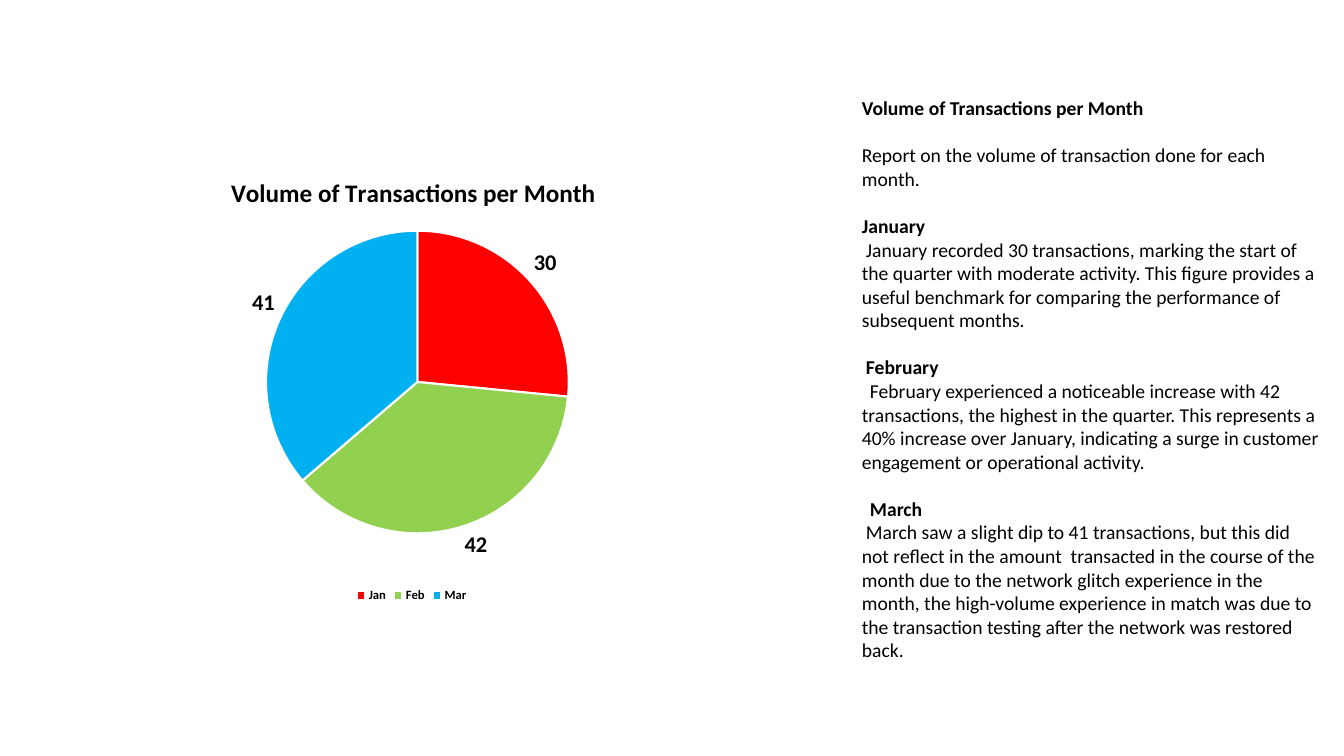
from dataclasses import dataclass

import pptx
import pptx.chart.data
import pptx.dml.color
import pptx.enum.chart
import pptx.enum.text
import pptx.oxml
import pptx.oxml.ns
import pptx.util
from pptx.util import Inches


@dataclass(frozen=True)
class Theme:
    font: str = "Calibri"
    ink: str = "000000"
    paper: str = "FFFFFF"
    months: tuple = ("FF0000", "92D050", "00B0F0")
    title_size: int = 18
    label_size: int = 16
    body_size: int = 14
    legend_size: int = 9
    line_gap: int = 17
    space_width: float = 0.04


THEME = Theme()
HEADING = "Volume of Transactions per Month"
TRANSACTIONS = {"Jan": 30, "Feb": 42, "Mar": 41}

# Month, heading indent and body indent in space widths, report text
MONTH_REPORTS = [
    ("January", 0, 1,
     "January recorded 30 transactions, marking the start of the quarter with "
     "moderate activity. This figure provides a useful benchmark for comparing "
     "the performance of subsequent months."),
    ("February", 1, 2,
     "February experienced a noticeable increase with 42 transactions, the "
     "highest in the quarter. This represents a 40% increase over January, "
     "indicating a surge in customer engagement or operational activity."),
    ("March", 2, 1,
     "March saw a slight dip to 41 transactions, but this did not reflect in "
     "the amount  transacted in the course of the month due to the network "
     "glitch experience in the month, the high-volume experience in match was "
     "due to the transaction testing after the network was restored back."),
]


def rgb(color):
    return pptx.dml.color.RGBColor.from_string(color)


def style_font(font, size, bold=False):
    font.name = THEME.font
    font.size = pptx.util.Pt(size)
    font.bold = bold
    font.color.rgb = rgb(THEME.ink)


def write_text(frame, text, size=THEME.body_size, bold=False, gap=0, indent=0):
    """Fill the empty first paragraph, or add a paragraph after the last."""
    paragraph = frame.paragraphs[0]
    if paragraph.runs:
        paragraph = frame.add_paragraph()
    if indent:
        first_line = Inches(indent * THEME.space_width)
        paragraph._p.get_or_add_pPr().set("indent", str(first_line))
    if gap:
        paragraph.space_before = pptx.util.Pt(gap)
    run = paragraph.add_run()
    run.text = text
    style_font(run.font, size, bold)


def place_chart_part(part, **fractions):
    """Set a manual layout, in fractions of the chart, on a title or plot area."""
    layout = part.find(pptx.oxml.ns.qn("c:layout"))
    if layout is None:
        layout = pptx.oxml.parse_xml(f"<c:layout {pptx.oxml.ns.nsdecls('c')}/>")
        text = part.find(pptx.oxml.ns.qn("c:tx"))
        if text is None:
            part.insert(0, layout)
        else:
            text.addnext(layout)
    for child in list(layout):
        layout.remove(child)
    target = '<c:layoutTarget val="inner"/>' if "w" in fractions else ""
    settings = '<c:xMode val="edge"/><c:yMode val="edge"/>' + "".join(
        f'<c:{name} val="{value}"/>' for name, value in fractions.items())
    layout.append(pptx.oxml.parse_xml(
        f"<c:manualLayout {pptx.oxml.ns.nsdecls('c')}>"
        f"{target}{settings}</c:manualLayout>"))


def add_month_pie(slide, left, top, width, height):
    data = pptx.chart.data.CategoryChartData(number_format="0")
    data.categories = list(TRANSACTIONS)
    data.add_series("Series 1", list(TRANSACTIONS.values()))
    chart = slide.shapes.add_chart(
        pptx.enum.chart.XL_CHART_TYPE.PIE,
        Inches(left), Inches(top), Inches(width), Inches(height), data).chart
    style_font(chart.font, THEME.legend_size, bold=True)

    # Title and plot area
    write_text(chart.chart_title.text_frame, HEADING, size=THEME.title_size, bold=True)
    chart.chart_title.include_in_layout = False
    place_chart_part(chart.chart_title._element, x=0.17, y=0.05)
    place_chart_part(chart._chartSpace.chart.plotArea, x=0.24, y=0.18, w=0.54, h=0.66)

    # Legend
    chart.has_legend = True
    chart.legend.position = pptx.enum.chart.XL_LEGEND_POSITION.BOTTOM
    chart.legend.include_in_layout = False
    style_font(chart.legend.font, THEME.legend_size, bold=True)

    # Slices and their values
    pie = chart.plots[0]
    pie.vary_by_categories = True
    series = pie.series[0]
    for index, color in enumerate(THEME.months):
        month = series.points[index].format
        month.fill.solid()
        month.fill.fore_color.rgb = rgb(color)
        month.line.color.rgb = rgb(THEME.paper)
        month.line.width = pptx.util.Pt(1.5)
    labels = series.data_labels
    labels.show_value = True
    labels.show_percentage = False
    labels.number_format = "0"
    labels.number_format_is_linked = False
    labels.position = pptx.enum.chart.XL_LABEL_POSITION.OUTSIDE_END
    style_font(labels.font, THEME.label_size, bold=True)


def add_report(slide, left, top, width, height):
    box = slide.shapes.add_textbox(
        Inches(left), Inches(top), Inches(width), Inches(height))
    report = box.text_frame
    report.word_wrap = True
    report.auto_size = pptx.enum.text.MSO_AUTO_SIZE.SHAPE_TO_FIT_TEXT
    write_text(report, HEADING, bold=True)
    write_text(report, "Report on the volume of transaction done for each month.",
               gap=THEME.line_gap)
    for month, heading_indent, body_indent, summary in MONTH_REPORTS:
        write_text(report, month, bold=True, gap=THEME.line_gap, indent=heading_indent)
        write_text(report, summary, indent=body_indent)


def main():
    deck = pptx.Presentation()
    deck.slide_width = Inches(13.33)
    deck.slide_height = Inches(7.5)
    slide = deck.slides.add_slide(deck.slide_layouts[6])
    add_month_pie(slide, 1.3, 1.47, 5.57, 4.55)
    add_report(slide, 8.45, 0.9, 4.76, 6.23)
    deck.save("out.pptx")


if __name__ == "__main__":
    main()
